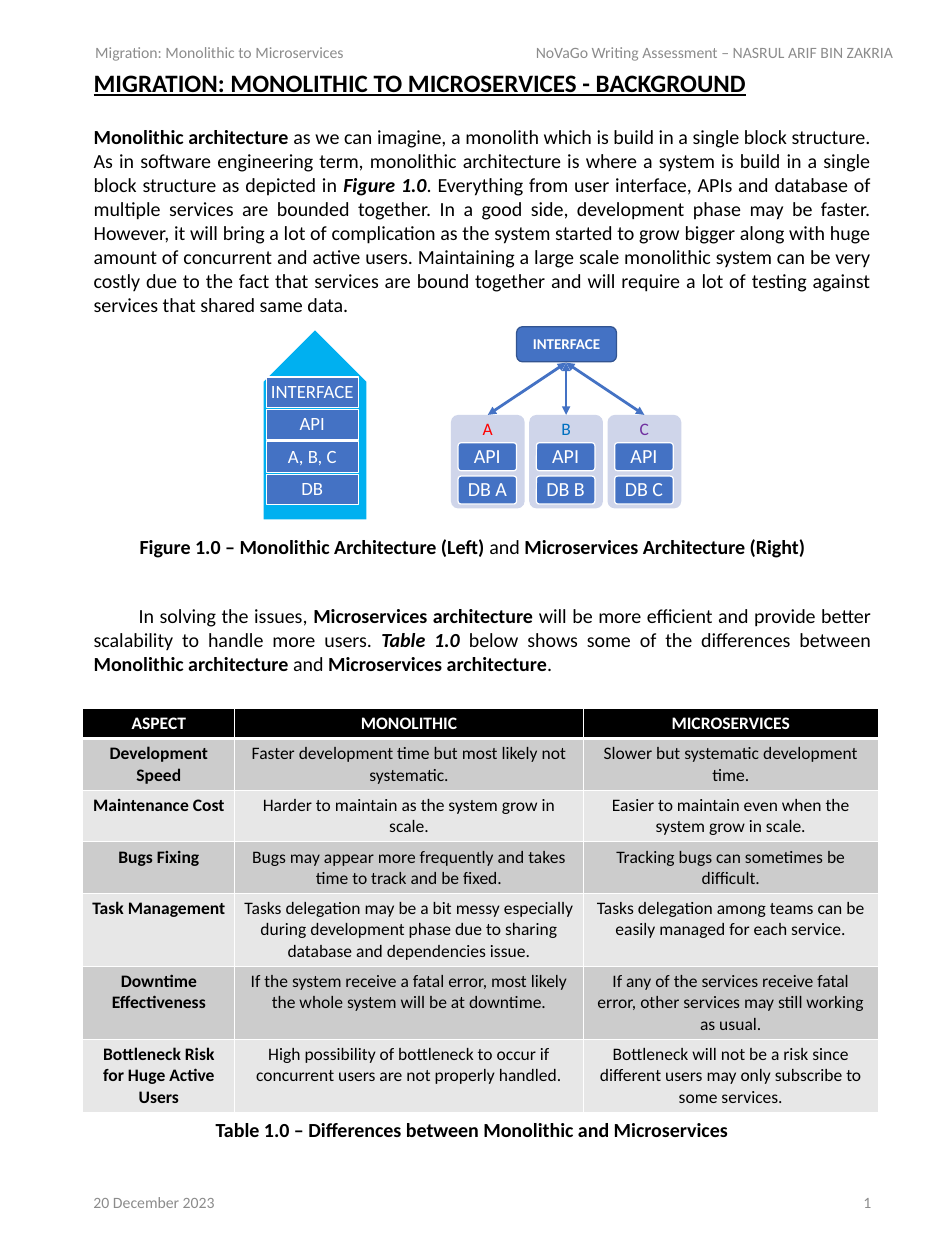
"""Build a one-page article on monolithic and microservices architecture."""
from dataclasses import dataclass
from typing import Any

from lxml.etree import SubElement
from pptx import Presentation
from pptx.dml.color import RGBColor
from pptx.enum.shapes import MSO_CONNECTOR, MSO_SHAPE
from pptx.enum.text import MSO_ANCHOR, MSO_AUTO_SIZE, PP_ALIGN
from pptx.oxml.ns import qn
from pptx.util import Inches, Pt

INTRO = [
    ("Monolithic architecture ", "b"),
    ("as we can imagine, a monolith which is build in a single block structure. As in software "
     "engineering term, monolithic architecture is where a system is build in a single block "
     "structure as depicted in ", ""),
    ("Figure 1.0", "bi"),
    (". Everything from user interface, APIs and database of multiple services are bounded "
     "together. In a good side, development phase may be faster. However, it will bring a lot of "
     "complication as the system started to grow bigger along with huge amount of concurrent and "
     "active users. Maintaining a large scale monolithic system can be very costly due to the fact "
     "that services are bound together and will require a lot of testing against services that "
     "shared same data.", ""),
]
SOLUTION = [
    ("In solving the issues, ", ""),
    ("Microservices architecture ", "b"),
    ("will be more efficient and provide better scalability to handle more users. ", ""),
    ("Table 1.0", "bi"),
    (" below shows some of the differences between ", ""),
    ("Monolithic architecture ", "b"),
    ("and ", ""),
    ("Microservices architecture", "b"),
    (".", ""),
]
FIGURE_CAPTION = [
    ("Figure 1.0 – Monolithic Architecture (Left) ", "b"),
    ("and", ""),
    (" Microservices Architecture (Right)", "b"),
]
COMPARISON = [
    ("ASPECT", "MONOLITHIC", "MICROSERVICES"),
    ("Development Speed", "Faster development time but most likely not systematic.",
     "Slower but systematic development time."),
    ("Maintenance Cost", "Harder to maintain as the system grow in scale.",
     "Easier to maintain even when the system grow in scale."),
    ("Bugs Fixing", "Bugs may appear more frequently and takes time to track and be fixed.",
     "Tracking bugs can sometimes be difficult."),
    ("Task Management",
     "Tasks delegation may be a bit messy especially during development phase due to sharing "
     "database and dependencies issue.",
     "Tasks delegation among teams can be easily managed for each service."),
    ("Downtime Effectiveness",
     "If the system receive a fatal error, most likely the whole system will be at downtime.",
     "If any of the services receive fatal error, other services may still working as usual."),
    ("Bottleneck Risk for Huge Active Users",
     "High possibility of bottleneck to occur if concurrent users are not properly handled.",
     "Bottleneck will not be a risk since different users may only subscribe to some services."),
]


def color(value):
    """Turn a hex string into a colour."""
    return RGBColor.from_string(value)


@dataclass
class Page:
    """Hold the style and the current slide."""
    slide: Any
    font: str = "Calibri"
    ink: str = "000000"
    muted: str = "8C8C8C"
    paper: str = "FFFFFF"
    block: str = "4472C4"

    def add_runs(self, para, runs, size, ink=None, align=PP_ALIGN.LEFT):
        """Add styled runs to a paragraph."""
        para.alignment = align
        for text, style in runs:
            run = para.add_run()
            run.text = text
            run.font.name, run.font.size = self.font, Pt(size)
            run.font.bold, run.font.italic = "b" in style, "i" in style
            run.font.underline = "u" in style
            run.font.color.rgb = color(ink or self.ink)

    def place(self, box, left, top, width, height):
        """Move a placeholder and return its frame with the text at the top."""
        box.left, box.top = Inches(left), Inches(top)
        box.width, box.height = Inches(width), Inches(height)
        frame = box.text_frame
        frame.word_wrap, frame.auto_size = True, MSO_AUTO_SIZE.NONE
        frame.vertical_anchor = MSO_ANCHOR.TOP
        return frame

    def title(self, text, *area):
        """Fill the title placeholder."""
        frame = self.place(self.slide.shapes.title, *area)
        self.add_runs(frame.paragraphs[0], [(text, "bu")], 20)

    def body(self, paragraphs, *area):
        """Fill the body placeholder from (runs, space before, first-line indent) entries."""
        frame = self.place(self.slide.placeholders[1], *area)
        for index, (runs, gap, indent) in enumerate(paragraphs):
            para = frame.add_paragraph() if index else frame.paragraphs[0]
            self.add_runs(para, runs, 16, align=PP_ALIGN.JUSTIFY)
            para.space_before = Pt(gap)
            properties = para._p.get_or_add_pPr()
            properties.set("marL", "0")
            properties.set("indent", str(Inches(indent)))
            SubElement(properties, qn("a:buNone"))

    def text(self, runs, left, top, width, height, size=16, ink=None,
             align=PP_ALIGN.CENTER, anchor=MSO_ANCHOR.TOP):
        """Add a wrapped text box."""
        box = self.slide.shapes.add_textbox(Inches(left), Inches(top), Inches(width), Inches(height))
        box.text_frame.word_wrap = True
        box.text_frame.vertical_anchor = anchor
        self.add_runs(box.text_frame.paragraphs[0], runs, size, ink, align)

    def shape(self, kind, left, top, width, height, fill, line=None, corner=None):
        """Add a flat preset shape."""
        box = self.slide.shapes.add_shape(kind, Inches(left), Inches(top), Inches(width), Inches(height))
        box.shadow.inherit = False
        box.fill.solid()
        box.fill.fore_color.rgb = color(fill)
        if line:
            box.line.color.rgb = color(line)
            box.line.width = Pt(1)
        else:
            box.line.fill.background()
        if corner is not None:
            box.adjustments[0] = corner
        return box

    def label(self, box, text, size, ink=None, style="", anchor=MSO_ANCHOR.MIDDLE):
        """Centre a short label in a shape."""
        frame = box.text_frame
        frame.word_wrap, frame.vertical_anchor = False, anchor
        frame.margin_left = frame.margin_right = Inches(0.04)
        frame.margin_top = frame.margin_bottom = Inches(0.04)
        para = frame.paragraphs[0]
        para.line_spacing = 0.9
        self.add_runs(para, [(text, style)], size, ink or self.paper, PP_ALIGN.CENTER)

    def arrow(self, *ends):
        """Add a line with an arrowhead at both ends."""
        line = self.slide.shapes.add_connector(MSO_CONNECTOR.STRAIGHT, *map(Inches, ends))
        line.line.color.rgb = color(self.block)
        line.line.width = Pt(2.25)
        for end in ("headEnd", "tailEnd"):
            SubElement(line.line._get_or_add_ln(), qn(f"a:{end}"), type="triangle")
        SubElement(line._element.spPr, qn("a:effectLst"))

    def border(self, cell, side, width):
        """Draw one edge of a table cell."""
        edge = SubElement(cell._tc.get_or_add_tcPr(), qn(f"a:{side}"), w=str(Pt(width)))
        SubElement(SubElement(edge, qn("a:solidFill")), qn("a:srgbClr"), val=self.paper)

    def table(self, rows, left, top, widths, heights):
        """Add a table with a dark header and banded rows."""
        grid = self.slide.shapes.add_table(len(rows), len(widths), Inches(left), Inches(top),
                                           Inches(sum(widths)), Inches(sum(heights))).table
        for column, width in zip(grid.columns, widths):
            column.width = Inches(width)
        for r, (values, height) in enumerate(zip(rows, heights)):
            grid.rows[r].height = Inches(height)
            fill = ("CCCCCC" if r % 2 else "E7E7E7") if r else self.ink
            for c, value in enumerate(values):
                cell = grid.cell(r, c)
                for side in ("lnL", "lnR", "lnT", "lnB"):
                    heavy = (r == 0 and side == "lnB") or (r == 1 and side == "lnT")
                    self.border(cell, side, 3 if heavy else 1)
                cell.fill.solid()
                cell.fill.fore_color.rgb = color(fill)
                self.add_runs(cell.text_frame.paragraphs[0], [(value, "" if r and c else "b")], 14,
                              self.ink if r else self.paper, PP_ALIGN.CENTER)

    def monolith(self):
        """Draw the single block with its stacked layers."""
        self.shape(MSO_SHAPE.PENTAGON, 2.45, 4.15, 2.1, 1.14, "00B0F0").rotation = 270
        for row, name in enumerate(("INTERFACE", "API", "A, B, C", "DB")):
            layer = self.shape(MSO_SHAPE.RECTANGLE, 2.96, 4.19 + 0.36 * row, 1.02, 0.34,
                               self.block, self.paper)
            self.label(layer, name, 15)

    def microservices(self):
        """Draw the interface linked to three service cards."""
        rounded = MSO_SHAPE.ROUNDED_RECTANGLE
        for index, (name, ink) in enumerate((("A", "FF0000"), ("B", "0070C0"), ("C", "7030A0"))):
            left = 5.01 + 0.87 * index
            card = self.shape(rounded, left, 4.61, 0.82, 1.04, "CFD5EA", corner=0.1)
            self.label(card, name, 14, ink, anchor=MSO_ANCHOR.TOP)
            for top, part in ((4.92, "API"), (5.29, f"DB {name}")):
                box = self.shape(rounded, left + 0.08, top, 0.65, 0.31, self.block, self.paper, 0.1)
                self.label(box, part, 16)
            self.arrow(6.29, 4.03, left + 0.41, 4.61)
        self.label(self.shape(rounded, 5.74, 3.63, 1.11, 0.39, self.block, "325491"),
                   "INTERFACE", 12, style="b")


def main():
    """Build and save the deck."""
    deck = Presentation()
    deck.slide_width, deck.slide_height = Inches(10.5), Inches(14)
    page = Page(deck.slides.add_slide(deck.slide_layouts[1]))
    page.title("MIGRATION: MONOLITHIC TO MICROSERVICES - BACKGROUND", 0.94, 0.7, 8.82, 0.44)
    page.body([(INTRO, 0, 0), (SOLUTION, 230, 0.5)], 0.94, 1.33, 8.84, 6.29)
    page.table(COMPARISON, 0.92, 7.87, [1.69, 3.87, 3.28], [0.33] + [0.57] * 3 + [0.8] * 3)
    page.text([("Table 1.0 – Differences between Monolithic and Microservices", "b")],
              1.97, 12.37, 6.55, 0.37)
    page.monolith()
    page.microservices()
    page.text(FIGURE_CAPTION, 1.31, 5.89, 7.88, 0.37)
    for text, left, top, width, align in (
        ("Migration: Monolithic to Microservices", 0.96, 0.2, 4.85, PP_ALIGN.LEFT),
        ("NoVaGo Writing Assessment – NASRUL ARIF BIN ZAKRIA", 5.17, 0.2, 4.85, PP_ALIGN.RIGHT),
        ("20 December 2023", 0.94, 12.98, 6.08, PP_ALIGN.LEFT),
        ("1", 7.42, 12.98, 2.36, PP_ALIGN.RIGHT),
    ):
        page.text([(text, "")], left, top, width, 0.75, 12.6, page.muted, align, MSO_ANCHOR.MIDDLE)
    deck.save("out.pptx")


if __name__ == "__main__":
    main()
